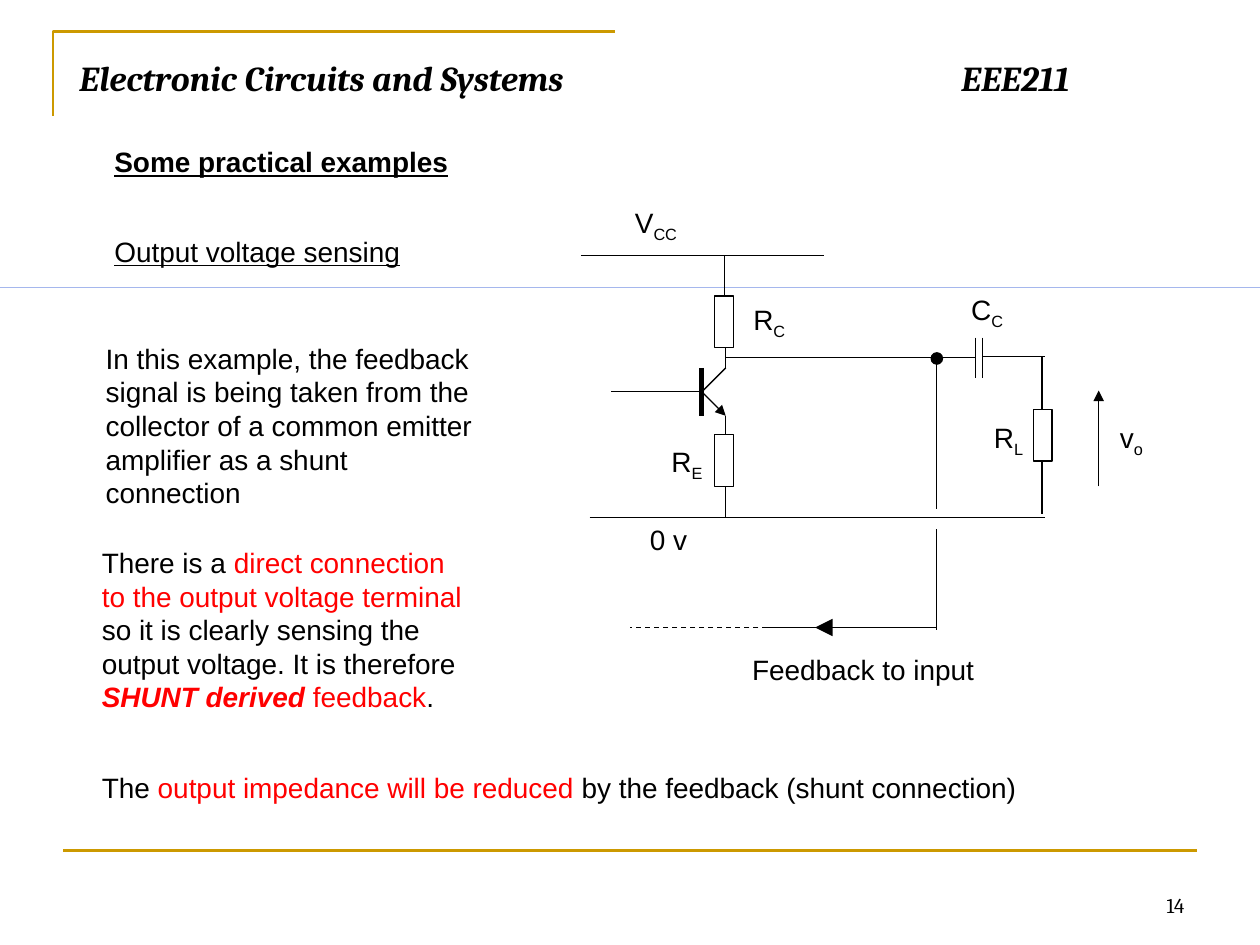
from dataclasses import dataclass

from pptx import Presentation
from pptx import util as u
from pptx.dml.color import RGBColor
from pptx.enum import dml, shapes, text
from pptx.oxml.ns import qn
from lxml import etree

BLACK = RGBColor(0x00, 0x00, 0x00)
WHITE = RGBColor(0xFF, 0xFF, 0xFF)
RED = RGBColor(0xFF, 0x00, 0x00)
GOLD = RGBColor(0xCC, 0x99, 0x00)
BLUE = RGBColor(0x00, 0x33, 0xCC)
CELL = 0.1  # grid pitch in inches: the slide is 100 columns by 75 rows


@dataclass
class Box:
    left: float
    top: float
    width: float
    height: float

    def at(self, column, row):
        return u.Inches((self.left + column) * CELL), u.Inches((self.top + row) * CELL)

    def area(self, column, row, width, height):
        return Box(self.left + column, self.top + row, width, height)

    def frame(self):
        return (*self.at(0, 0), u.Inches(self.width * CELL), u.Inches(self.height * CELL))


# Shared elements
def add_span(para, words, size=16, name="Arial", color=BLACK, bold=False,
             italic=False, underline=False, sub=False):
    span = para.add_run()
    span.text = words
    font = span.font
    font.size, font.name, font.color.rgb = u.Pt(size), name, color
    font.bold, font.italic, font.underline = bold, italic, underline
    if sub:
        span._r.get_or_add_rPr().set("baseline", "-25000")


def add_text(page, box, *spans, align=text.PP_ALIGN.LEFT, anchor=text.MSO_ANCHOR.TOP):
    frame = page.shapes.add_textbox(*box.frame()).text_frame
    frame.word_wrap = True
    frame.vertical_anchor = anchor
    para = frame.paragraphs[0]
    para.alignment = align
    for words, style in spans:
        add_span(para, words, **style)


def add_line(page, box, start, end, color=BLACK, width=0.75, dash=False, head=None):
    line = page.shapes.add_connector(
        shapes.MSO_CONNECTOR.STRAIGHT, *box.at(*start), *box.at(*end))
    line.line.color.rgb = color
    line.line.width = u.Pt(width)
    if dash:
        line.line.dash_style = dml.MSO_LINE.DASH
    properties = line._element.spPr
    if head:
        etree.SubElement(properties.find(qn("a:ln")), qn("a:tailEnd"),
                         type="triangle", w=head, len=head)
    etree.SubElement(properties, qn("a:effectLst"))


def add_solid(page, kind, box, fill, outline=True):
    solid = page.shapes.add_shape(kind, *box.frame())
    solid.shadow.inherit = False
    solid.fill.solid()
    solid.fill.fore_color.rgb = fill
    if outline:
        solid.line.color.rgb = BLACK
        solid.line.width = u.Pt(0.75)
    else:
        solid.line.fill.background()


# Regions
def draw_header(page, box):
    outline = page.shapes.build_freeform(*box.at(0, 6.7), scale=1.0)
    outline.add_line_segments([box.at(0, 0), box.at(44.6, 0)], close=False)
    corner = outline.convert_to_shape()
    corner.shadow.inherit = False
    corner.fill.background()
    corner.line.color.rgb = GOLD
    corner.line.width = u.Pt(1.5)

    title = page.shapes.title
    title.left, title.top, title.width, title.height = box.area(1.1, 1.5, 89.2, 6.1).frame()
    frame = title.text_frame
    frame.auto_size = text.MSO_AUTO_SIZE.NONE
    frame.vertical_anchor = text.MSO_ANCHOR.TOP
    para = frame.paragraphs[0]
    para.alignment = text.PP_ALIGN.LEFT
    stops = etree.SubElement(para._p.get_or_add_pPr(), qn("a:tabLst"))
    etree.SubElement(stops, qn("a:tab"), pos=str(u.Inches(7)), algn="l")
    add_span(para, "Electronic Circuits and Systems\tEEE211", 20, "Cambria",
             bold=True, italic=True)


def draw_footer(page, box):
    add_line(page, box, (0, 0), (box.width, 0), GOLD, 1.5)
    add_text(page, box.area(66.7, 0.8, 23.3, 5), ("14", dict(size=12, name="Cambria")),
             align=text.PP_ALIGN.RIGHT, anchor=text.MSO_ANCHOR.BOTTOM)


def draw_notes(page, box):
    red = dict(color=RED)
    add_text(page, box.area(1, 0, 38.4, 3.7),
             ("Some practical examples", dict(bold=True, underline=True)))
    add_text(page, box.area(1, 7.1, 38.4, 3.7),
             ("Output voltage sensing", dict(underline=True)))
    add_text(page, box.area(0.3, 15.6, 31.2, 14.4),
             ("In this example, the feedback signal is being taken from the collector "
              "of a common emitter amplifier as a shunt connection", {}))
    add_text(page, box.area(0, 31.8, 31.2, 14.5),
             ("There is a ", {}),
             ("direct connection to the output voltage terminal ", red),
             ("so it is clearly sensing the output voltage. It is therefore ", {}),
             ("SHUNT derived ", dict(color=RED, bold=True, italic=True)),
             ("feedback", red), (".", {}))
    add_text(page, box.area(0, 49.7, 78, 3.7),
             ("The ", {}), ("output impedance will be reduced ", red),
             ("by the feedback (shunt connection)", {}))


def draw_circuit(page, box):
    stem, output, load = 11.6, 28.3, 36.7  # columns of the vertical branches
    supply, collector, ground, feedback = 5.3, 13.4, 26.1, 34.8  # rows of the rails
    wires = [
        ((0.1, supply), (19.4, supply)), ((0.8, ground), (36.9, ground)),
        ((stem - 0.1, supply), (stem - 0.1, 8.5)), ((stem, 12.6), (stem, 14.2)),
        ((stem, 18), (stem, 19.5)), ((stem, 23.6), (stem, ground)),
        ((2.5, 16.1), (9.7, 16.1)), ((9.7, 16.1), (stem, 14.2)),
        ((stem, collector), (31.4, collector)), ((32, 13.3), (36.9, 13.3)),
        ((load, 13.3), (load, 25.8)),
        ((output, collector), (output, 25.4)), ((output, 27), (output, 35)),
        ((output, feedback), (14.6, feedback)),
    ]
    for start, end in wires:
        add_line(page, box, start, end)

    # Transistor base and emitter, capacitor plates
    add_line(page, box, (9.7, 14.2), (9.7, 18), width=3)
    add_line(page, box, (9.8, 16.2), (stem, 18), head="med")
    for plate in (31.4, 32):
        add_line(page, box, (plate, 11.8), (plate, 15))

    # Feedback line and output voltage arrow
    add_line(page, box, (14.9, feedback), (4, feedback), dash=True)
    add_line(page, box, (25.4, feedback), (18.7, feedback), head="lg")
    add_line(page, box, (41.2, 23.6), (41.2, 16), head="med")

    # Resistors and output node
    for column, row in ((10.7, 8.5), (10.7, 19.5), (36, 17.5)):
        add_solid(page, shapes.MSO_SHAPE.RECTANGLE, box.area(column, row, 1.5, 4.1), WHITE)
    add_solid(page, shapes.MSO_SHAPE.OVAL, box.area(27.9, 13, 0.9, 0.9), BLACK)

    # Labels with subscripts
    labels = [
        ("V", "CC", 3.4, 0.8, 9.2), ("R", "C", 12.8, 8.5, 5.5),
        ("R", "E", 6.3, 19.8, 4.7), ("C", "C", 30.1, 7.7, 6.2),
        ("R", "L", 31.9, 17.9, 4.5), ("v", "o", 41.9, 17.9, 4.5),
        ("0 v", "", 4.6, 26, 6), ("Feedback to input", "", 12.7, 36.3, 20.8),
    ]
    for name, suffix, column, row, width in labels:
        spans = [(name, {})] + ([(suffix, dict(sub=True))] if suffix else [])
        add_text(page, box.area(column, row, width, 3.7), *spans)


deck = Presentation()
deck.slide_width, deck.slide_height = u.Inches(10), u.Inches(7.5)
page = deck.slides.add_slide(deck.slide_layouts[5])
draw_header(page, Box(4.2, 2.5, 90.3, 7.6))
draw_footer(page, Box(5, 67.5, 90, 5.8))
add_solid(page, shapes.MSO_SHAPE.RECTANGLE, Box(0, 22.8, 100, 0), BLUE, outline=False)
draw_notes(page, Box(7.1, 11, 78, 53.4))
draw_circuit(page, Box(46, 15, 46.4, 40))
deck.save("out.pptx")
